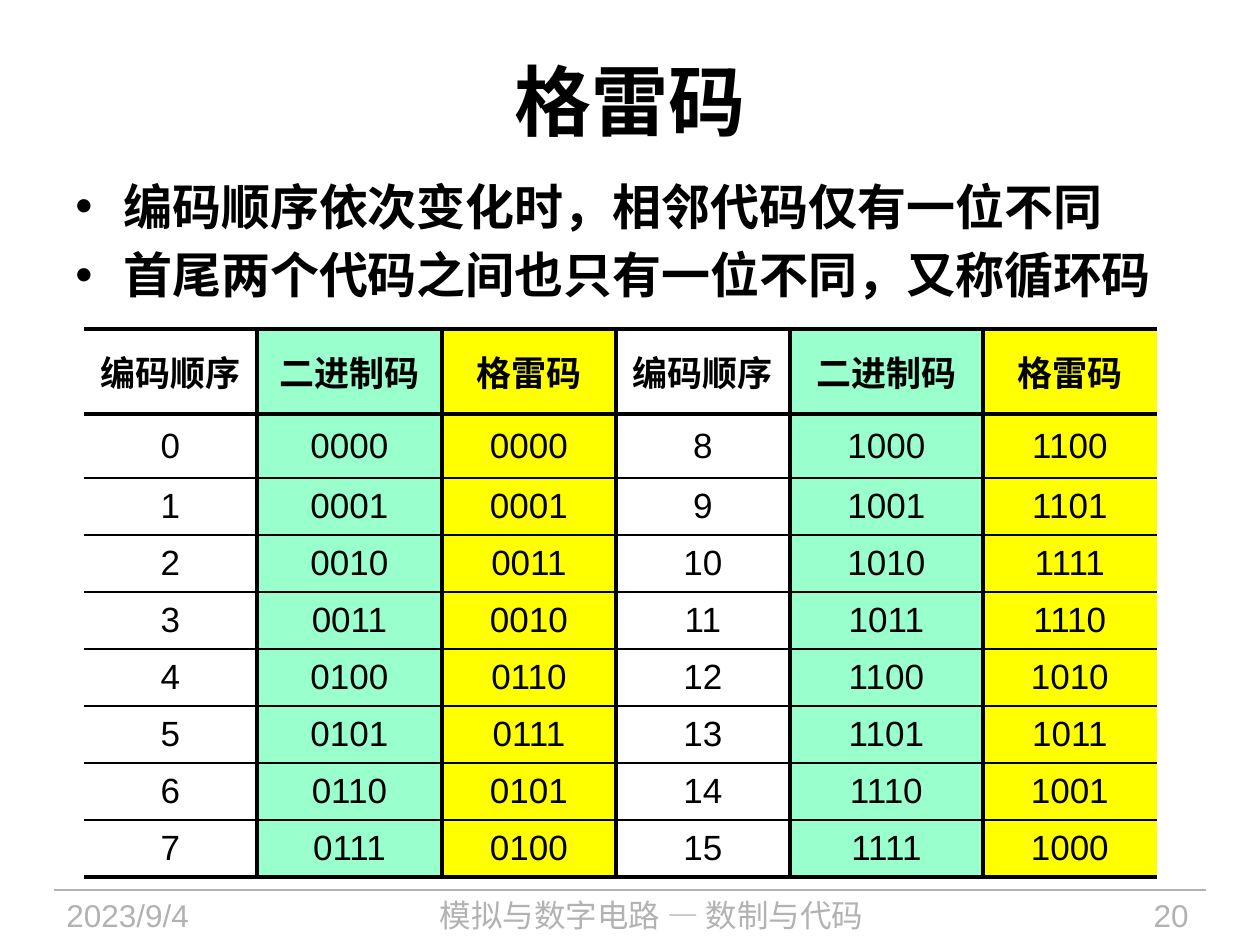
from lxml import etree
from pptx import Presentation
from pptx import util as u
from pptx.dml.color import RGBColor
from pptx.enum import shapes, text
from pptx.oxml.ns import qn

# Content
TITLE = "格雷码"
BULLETS = ["编码顺序依次变化时，相邻代码仅有一位不同",
           "首尾两个代码之间也只有一位不同，又称循环码"]
HEADINGS = ["编码顺序", "二进制码", "格雷码"]
BITS = 4
FOOTERS = [  # text, left, width, alignment
    ("2023/9/4", 54, 237, "LEFT"),
    ("模拟与数字电路 — 数制与代码", 314, 675, "CENTER"),
    ("20", 1033, 168, "RIGHT"),
]

# Layout in px
TITLE_BOX = (63, 21, 1134, 158)
BULLET_BOX = (63, 170, 1123, 169)
BULLET_INDENT = 48
TABLE_LEFT, TABLE_TOP = 84, 329
COLUMNS = [173, 185, 174, 174, 193, 174]
ROWS = [85, 64] + [57] * 7
FOOTER_TOP, FOOTER_HEIGHT = 890, 55
FOOTER_RULE = (54, 1206)

THEME = {
    "font": "Arial",
    "ink": "000000", "muted": "B2B2B2",
    "column_fills": [None, "99FFCC", "FFFF00"],
    "title": 44, "bullet": 28, "cell": 20, "footer": 18,
    "thick": 2.25, "thin": 1, "hairline": 0.75,
}


def px(value):
    return u.Emu(round(value * 914400 / 126))


def rgb(name):
    return RGBColor.from_string(THEME[name])


def write(para, words, size, color="ink", bold=False, align="LEFT"):
    para.alignment = getattr(text.PP_ALIGN, align)
    span = para.add_run()
    span.text = words
    span.font.color.rgb = rgb(color)
    formats = {"name": THEME["font"], "size": u.Pt(THEME[size]), "bold": bold}
    for key, value in formats.items():
        setattr(span.font, key, value)


def add_box(page, *area):
    box = page.shapes.add_textbox(*map(px, area))
    box.text_frame.word_wrap = True
    return box.text_frame


def add_rule(page, left, right, y, color, width):
    rule = page.shapes.add_connector(
        shapes.MSO_CONNECTOR.STRAIGHT, px(left), px(y), px(right), px(y))
    rule.line.color.rgb = rgb(color)
    rule.line.width = u.Pt(THEME[width])
    etree.SubElement(rule._element.spPr, qn("a:effectLst"))


def set_borders(cell, borders):
    """Put the borders before the fill; a width of None means no line."""
    props = cell._tc.get_or_add_tcPr()
    for index, (side, width) in enumerate(borders.items()):
        line = etree.Element(qn(f"a:{side}"))
        props.insert(index, line)
        if width is None:
            etree.SubElement(line, qn("a:noFill"))
            continue
        line.set("w", str(u.Pt(THEME[width])))
        fill = etree.SubElement(line, qn("a:solidFill"))
        etree.SubElement(fill, qn("a:srgbClr"), val=THEME["ink"])


def code_rows():
    """Each row pairs number n with the number half the range further on."""
    half = 2 ** BITS // 2
    rows = [HEADINGS * 2]
    for first in range(half):
        row = []
        for number in (first, first + half):
            gray = number ^ (number >> 1)
            row += [str(number), f"{number:0{BITS}b}", f"{gray:0{BITS}b}"]
        rows.append(row)
    return rows


def add_code_table(page):
    rows = code_rows()
    last_row, last_column = len(ROWS) - 1, len(COLUMNS) - 1
    table = page.shapes.add_table(
        len(ROWS), len(COLUMNS), px(TABLE_LEFT), px(TABLE_TOP),
        px(sum(COLUMNS)), px(sum(ROWS))).table
    table.first_row = table.horz_banding = False
    for column, width in zip(table.columns, COLUMNS):
        column.width = px(width)
    for row, height in zip(table.rows, ROWS):
        row.height = px(height)
    for r, row in enumerate(rows):
        for c, words in enumerate(row):
            cell = table.cell(r, c)
            cell.vertical_anchor = text.MSO_ANCHOR.MIDDLE
            write(cell.text_frame.paragraphs[0], words, "cell",
                  bold=r == 0, align="CENTER")
            fill = THEME["column_fills"][c % len(HEADINGS)]
            if fill:
                cell.fill.solid()
                cell.fill.fore_color.rgb = RGBColor.from_string(fill)
            else:
                cell.fill.background()
            set_borders(cell, {
                "lnL": "thick" if c else None,
                "lnR": "thick" if c < last_column else None,
                "lnT": "thin" if r else "thick",
                "lnB": "thin" if r < last_row else "thick",
            })


def main():
    deck = Presentation()
    deck.slide_width, deck.slide_height = u.Inches(10), u.Inches(7.5)
    page = deck.slides.add_slide(deck.slide_layouts[5])

    # Footer
    add_rule(page, *FOOTER_RULE, FOOTER_TOP, "muted", "hairline")
    for words, left, width, align in FOOTERS:
        frame = add_box(page, left, FOOTER_TOP, width, FOOTER_HEIGHT)
        write(frame.paragraphs[0], words, "footer", "muted", align=align)

    # Title
    title = page.shapes.title
    for side, value in zip(("left", "top", "width", "height"), TITLE_BOX):
        setattr(title, side, px(value))
    title.text_frame.auto_size = text.MSO_AUTO_SIZE.NONE
    title.text_frame.vertical_anchor = text.MSO_ANCHOR.MIDDLE
    write(title.text_frame.paragraphs[0], TITLE, "title", bold=True, align="CENTER")

    # Bullets
    frame = add_box(page, *BULLET_BOX)
    for index, words in enumerate(BULLETS):
        para = frame.add_paragraph() if index else frame.paragraphs[0]
        props = para._p.get_or_add_pPr()
        props.set("marL", str(px(BULLET_INDENT)))
        props.set("indent", str(-px(BULLET_INDENT)))
        etree.SubElement(props, qn("a:buFont"), typeface=THEME["font"])
        etree.SubElement(props, qn("a:buChar"), char="•")
        para.space_after = u.Pt(THEME["bullet"] * 0.2)
        write(para, words, "bullet", bold=True)

    # Code table, with a heavier rule under its headings
    add_code_table(page)
    add_rule(page, TABLE_LEFT, TABLE_LEFT + sum(COLUMNS), TABLE_TOP + ROWS[0],
             "ink", "thick")

    deck.save("out.pptx")


if __name__ == "__main__":
    main()
